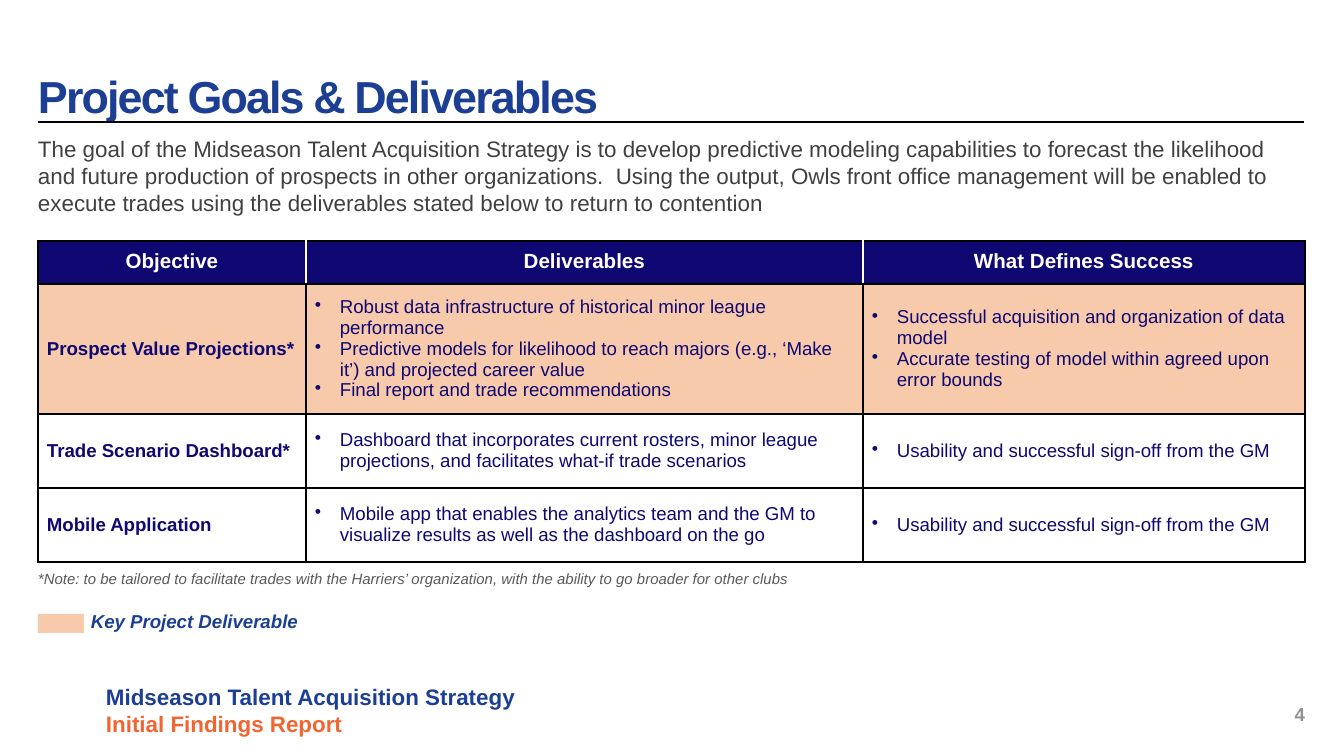
from lxml import etree
from pptx import Presentation
from pptx import util as u
from pptx.dml.color import RGBColor
from pptx.enum import shapes, text
from pptx.oxml import ns

PX = 914400 / 134.4  # EMU in one px
FONT = "Arial"
BLUE = RGBColor(0x1C, 0x3F, 0x94)
NAVY = RGBColor(0x10, 0x08, 0x72)
ORANGE = RGBColor(0xF2, 0x65, 0x31)
PEACH = RGBColor(0xF7, 0xCA, 0xAC)
BLACK = RGBColor(0, 0, 0)
WHITE = RGBColor(0xFF, 0xFF, 0xFF)
BODY_GRAY = RGBColor(0x40, 0x40, 0x40)
NOTE_GRAY = RGBColor(0x59, 0x59, 0x59)
PAGE_GRAY = RGBColor(0x91, 0x91, 0x91)

LEFT, WIDTH = 38, 1267
COLUMNS = (268, 557, 442)
ROWS = (42, 122, 74, 74)
CELL_MARGIN = 9
BULLET_INDENT = 25

HEADERS = ("Objective", "Deliverables", "What Defines Success")
SIGN_OFF = "Usability and successful sign-off from the GM"
# Objective, deliverables, success criteria, row fill
GOALS = [
    ("Prospect Value Projections*",
     ["Robust data infrastructure of historical minor league performance",
      "Predictive models for likelihood to reach majors (e.g., ‘Make it’) and projected career value",
      "Final report and trade recommendations"],
     ["Successful acquisition and organization of data model",
      "Accurate testing of model within agreed upon error bounds"], PEACH),
    ("Trade Scenario Dashboard*",
     ["Dashboard that incorporates current rosters, minor league projections, "
      "and facilitates what-if trade scenarios"],
     [SIGN_OFF], None),
    ("Mobile Application",
     ["Mobile app that enables the analytics team and the GM to visualize results "
      "as well as the dashboard on the go"],
     [SIGN_OFF], None),
]
INTRO = ("The goal of the Midseason Talent Acquisition Strategy is to develop predictive "
         "modeling capabilities to forecast the likelihood and future production of prospects "
         "in other organizations.  Using the output, Owls front office management will be "
         "enabled to execute trades using the deliverables stated below to return to contention")
NOTE = ("*Note: to be tailored to facilitate trades with the Harriers’ organization, "
        "with the ability to go broader for other clubs")


def px(length):
    return u.Emu(round(length * PX))


def box(*lengths):
    return [px(length) for length in lengths]


def set_margins(target, left=0, top=0, right=0, bottom=0):
    target.margin_left, target.margin_top = px(left), px(top)
    target.margin_right, target.margin_bottom = px(right), px(bottom)


def style(paragraph, size, color, bold=False, italic=False, align=text.PP_ALIGN.LEFT):
    paragraph.alignment = align
    font = paragraph.font
    font.name, font.size, font.color.rgb = FONT, u.Pt(size), color
    font.bold, font.italic = bold, italic


def write(frame, lines):
    """Fill a frame with (wording, style options) lines."""
    for index, (wording, options) in enumerate(lines):
        paragraph = frame.add_paragraph() if index else frame.paragraphs[0]
        paragraph.text = wording
        style(paragraph, **options)


def add_text(slide, area, *lines, anchor=text.MSO_ANCHOR.TOP):
    frame = slide.shapes.add_textbox(*box(*area)).text_frame
    frame.word_wrap = True
    frame.vertical_anchor = anchor
    set_margins(frame)
    write(frame, lines)


def add_heading(slide, left, top, width, height):
    title = slide.shapes.title
    title.left, title.top, title.width, title.height = box(left, top, width, height)
    frame = title.text_frame
    frame.word_wrap = True
    frame.auto_size = text.MSO_AUTO_SIZE.NONE
    frame.vertical_anchor = text.MSO_ANCHOR.BOTTOM
    set_margins(frame, right=19)
    write(frame, [("Project Goals & Deliverables", dict(size=24, color=BLUE, bold=True))])
    heading = frame.paragraphs[0]
    heading.line_spacing = 0.8
    heading.runs[0].font._element.set("spc", "-100")

    # Rule under the title
    bottom = top + height
    rule = slide.shapes.add_connector(
        shapes.MSO_CONNECTOR.STRAIGHT, *box(left, bottom, left + width - 1, bottom))
    rule.line.color.rgb, rule.line.width = BLACK, u.Pt(0.75)
    etree.SubElement(rule._element.spPr, ns.qn("a:effectLst"))


def set_borders(cell, left, right):
    properties = cell._tc.get_or_add_tcPr()
    sides = (("lnL", left), ("lnR", right), ("lnT", BLACK), ("lnB", BLACK))
    for index, (side, color) in enumerate(sides):
        line = etree.Element(ns.qn(f"a:{side}"), w=str(u.Pt(1)))
        fill = etree.SubElement(line, ns.qn("a:solidFill"))
        etree.SubElement(fill, ns.qn("a:srgbClr"), val=str(color))
        properties.insert(index, line)


def add_bullets(frame):
    for paragraph in frame.paragraphs:
        properties = paragraph._p.get_or_add_pPr()
        properties.set("marL", str(px(BULLET_INDENT)))
        properties.set("indent", str(-px(BULLET_INDENT)))
        bullet = etree.Element(ns.qn("a:buChar"), char="•")
        properties.insert(0, bullet)


def fill_cell(cell, lines, fill, left=BLACK, right=BLACK, anchor=text.MSO_ANCHOR.MIDDLE):
    set_margins(cell, *[CELL_MARGIN] * 4)
    cell.vertical_anchor = anchor
    if fill is None:
        cell.fill.background()
    else:
        cell.fill.solid()
        cell.fill.fore_color.rgb = fill
    set_borders(cell, left, right)
    write(cell.text_frame, lines)


def add_goals(slide, left, top):
    table = slide.shapes.add_table(
        len(ROWS), len(COLUMNS), *box(left, top, sum(COLUMNS), sum(ROWS))).table
    table.first_row = table.horz_banding = False
    for column, width in zip(table.columns, COLUMNS):
        column.width = px(width)
    for row, height in zip(table.rows, ROWS):
        row.height = px(height)

    # Header row, with white lines between its cells
    header = dict(size=11, color=WHITE, bold=True, align=text.PP_ALIGN.CENTER)
    last = len(HEADERS) - 1
    for index, label in enumerate(HEADERS):
        fill_cell(table.cell(0, index), [(label, header)], NAVY,
                  left=WHITE if index else BLACK,
                  right=WHITE if index < last else BLACK,
                  anchor=text.MSO_ANCHOR.TOP)

    # One row for each objective
    for row, (objective, deliverables, success, fill) in enumerate(GOALS, 1):
        fill_cell(table.cell(row, 0), [(objective, dict(size=10, color=NAVY, bold=True))], fill)
        for column, points in enumerate((deliverables, success), 1):
            cell = table.cell(row, column)
            fill_cell(cell, [(point, dict(size=10, color=NAVY)) for point in points], fill)
            add_bullets(cell.text_frame)


def add_legend(slide, left, top):
    swatch = slide.shapes.add_shape(
        shapes.MSO_SHAPE.RECTANGLE, *box(left, top + 4, 46, 19))
    swatch.shadow.inherit = False
    swatch.fill.solid()
    swatch.fill.fore_color.rgb = PEACH
    swatch.line.fill.background()
    add_text(slide, (left + 53, top, 247, 28),
             ("Key Project Deliverable", dict(size=10, color=BLUE, bold=True, italic=True)))


def add_footer(slide, left, top, right):
    add_text(slide, (left, top, 851, 59),
             ("Midseason Talent Acquisition Strategy", dict(size=12, color=BLUE, bold=True)),
             ("Initial Findings Report", dict(size=12, color=ORANGE, bold=True)))
    add_text(slide, (right - 85, top + 20, 85, 22),
             ("4", dict(size=10, color=PAGE_GRAY, bold=True, align=text.PP_ALIGN.RIGHT)),
             anchor=text.MSO_ANCHOR.MIDDLE)


def main():
    deck = Presentation()
    deck.slide_width, deck.slide_height = box(1344, 756)
    slide = deck.slides.add_slide(deck.slide_layouts.get_by_name("Title Only"))
    add_heading(slide, LEFT, 36, WIDTH, 86)
    add_text(slide, (LEFT, 135, WIDTH, 59), (INTRO, dict(size=12, color=BODY_GRAY)))
    add_goals(slide, LEFT, 241)
    add_text(slide, (LEFT, 570, WIDTH, 34),
             (NOTE, dict(size=8, color=NOTE_GRAY, italic=True)))
    add_legend(slide, LEFT, 610)
    add_footer(slide, 106, 683, LEFT + WIDTH)
    deck.save("out.pptx")


if __name__ == "__main__":
    main()
